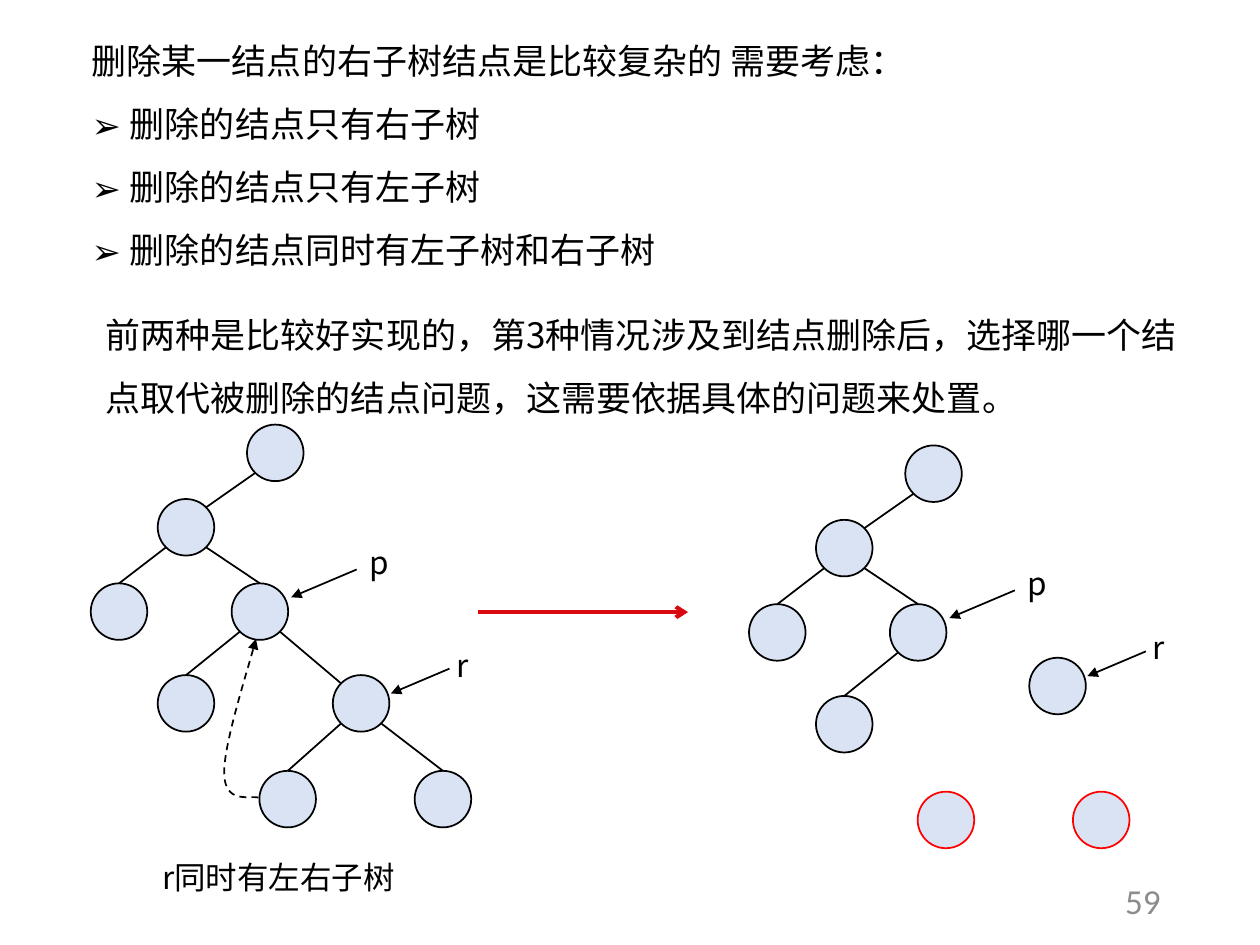
from lxml.etree import SubElement
from pptx import Presentation
from pptx.dml.color import RGBColor as RGB
from pptx.enum.dml import MSO_LINE
from pptx.enum.shapes import MSO_CONNECTOR as CONNECTOR, MSO_SHAPE as SHAPE
from pptx.enum.text import MSO_ANCHOR as ANCHOR, PP_ALIGN as ALIGN
from pptx.oxml.ns import qn
from pptx.util import Cm, Pt

THEME = {
    "ink": RGB(0, 0, 0), "grey": RGB(0x8C, 0x8C, 0x8C),
    "node": RGB(0xDA, 0xE3, 0xF3), "orphan": RGB(0xFF, 0, 0),
    "arrow": RGB(0xD8, 0x09, 0x0F),
    "cjk": "Noto Sans CJK SC", "latin": "Calibri",
    "body": Pt(20), "label": Pt(18), "thin": Pt(1), "thick": Pt(2.25),
}
BULLET = "➢"
NODE = 1.14  # node diameter in cm


def add_text(shapes, place, lines, size="label", face="cjk", color="ink",
             bulleted=(), anchor=ANCHOR.TOP, **para_format):
    box = shapes.add_textbox(*map(Cm, place))
    frame = box.text_frame
    for name, value in {"word_wrap": True, "vertical_anchor": anchor}.items():
        setattr(frame, name, value)
    for index, line in enumerate(lines):
        para = frame.paragraphs[0] if index == 0 else frame.add_paragraph()
        for name, value in para_format.items():
            setattr(para, name, value)
        if index in bulleted:
            props = para._p.get_or_add_pPr()
            props.set("marL", str(Cm(0.77)))
            props.set("indent", str(Cm(-0.77)))
            SubElement(props, qn("a:buFont"), typeface=THEME[face])
            SubElement(props, qn("a:buChar"), char=BULLET)
        span = para.add_run()
        span.text = line
        for name, value in {"name": THEME[face], "size": THEME[size]}.items():
            setattr(span.font, name, value)
        span.font.color.rgb = THEME[color]
        SubElement(span._r.get_or_add_rPr(), qn("a:ea"), typeface=THEME[face])


def add_line(shapes, start, end, color="ink", width="thin", head=None):
    line = shapes.add_connector(CONNECTOR.STRAIGHT, *map(Cm, (*start, *end)))
    line.line.color.rgb = THEME[color]
    line.line.width = THEME[width]
    if head:
        SubElement(line.line._get_or_add_ln(), qn("a:tailEnd"), type=head)
    SubElement(line._element.spPr, qn("a:effectLst"))


deck = Presentation()
deck.slide_width, deck.slide_height = Cm(25.4), Cm(19.05)
page = deck.slides.add_slide(deck.slide_layouts[6])

# Page number and explanation
add_text(page.shapes, (17.93, 17.65, 5.72, 1.02), ["59"], "body", "latin", "grey",
         anchor=ANCHOR.MIDDLE, alignment=ALIGN.RIGHT)
add_text(page.shapes, (1.6, 0.25, 21.31, 5.23), [
    "删除某一结点的右子树结点是比较复杂的 需要考虑：",
    "删除的结点只有右子树",
    "删除的结点只有左子树",
    "删除的结点同时有左子树和右子树",
], "body", bulleted=(1, 2, 3), line_spacing=1.5)
add_text(page.shapes, (1.88, 5.77, 22.12, 2.67), [
    "前两种是比较好实现的，第3种情况涉及到结点删除后，"
    "选择哪一个结点取代被删除的结点问题，这需要依据具体的问题来处置。",
], "body", line_spacing=1.5)

# Tree before deletion: top-left corner of each node
before = {
    "root": (4.98, 8.56), "inner": (3.18, 10.06), "left": (1.83, 11.76),
    "p": (4.67, 11.76), "p left": (3.18, 13.61), "r": (6.71, 13.61),
    "r left": (5.23, 15.54), "r right": (8.36, 15.54),
}
# Tree after deletion: same layout moved over, with r taken out
after = {name: (x + 13.27, y + 0.42) for name, (x, y) in before.items()}
after["r"] = (20.75, 13.26)

# Points on a node's rim, as fractions of its diameter
RIM = {"top": (0.5, 0), "NW": (0.15, 0.15), "NE": (0.85, 0.15),
       "SW": (0.15, 0.85), "SE": (0.85, 0.85)}
edges = [
    ("root", "SW", "inner", "NE"), ("inner", "SW", "left", "top"),
    ("inner", "SE", "p", "top"), ("p", "SW", "p left", "top"),
    ("p", "SE", "r", "NW"), ("r", "SW", "r left", "top"),
    ("r", "SE", "r right", "top"),
]
# Each pointer: start, tip and label corner, measured from its node's corner
pointers = {"p": ((2.52, -0.28), (1.2, 0.28), (2.52, -0.94)),
            "r": ((2.35, -0.13), (1.17, 0.37), (2.24, -0.72))}

trees = []
for nodes, kept, orphans in ((before, edges, ()),
                             (after, edges[:4], ("r left", "r right"))):
    tree = page.shapes.add_group_shape().shapes
    trees.append(tree)
    for name, corner in nodes.items():
        node = tree.add_shape(SHAPE.OVAL, *map(Cm, (*corner, NODE, NODE)))
        node.shadow.inherit = False
        node.fill.solid()
        node.fill.fore_color.rgb = THEME["node"]
        node.line.color.rgb = THEME["orphan" if name in orphans else "ink"]
        node.line.width = THEME["thin"]
    for parent, leave, child, arrive in kept:
        start, end = ([c + NODE * f for c, f in zip(nodes[name], RIM[side])]
                      for name, side in ((parent, leave), (child, arrive)))
        add_line(tree, start, end)
    for name, offsets in pointers.items():
        start, tip, label = ([c + d for c, d in zip(nodes[name], offset)]
                             for offset in offsets)
        add_line(tree, start, tip, head="triangle")
        add_text(tree, (*label, 0.89, 1.02), [name])

# Dashed curve: r's left child takes the place of p
curve = [
    ((5.21, 16.08), (5.05, 16.03), (4.52, 16.23), (4.52, 15.57)),
    ((4.52, 15.57), (4.52, 14.94), (5.03, 13.41), (5.16, 12.88)),
]
STEPS = 16
points = [
    tuple(Cm(a * (1 - t) ** 3 + 3 * b * t * (1 - t) ** 2
             + 3 * c * t ** 2 * (1 - t) + d * t ** 3)
          for a, b, c, d in zip(*bezier))
    for bezier in curve for t in (step / STEPS for step in range(1, STEPS + 1))
]
builder = trees[0].build_freeform(*map(Cm, curve[0][0]))
builder.add_line_segments(points, close=False)
move = builder.convert_to_shape()
move.shadow.inherit = False
move.fill.background()
move.line.color.rgb = THEME["ink"]
for name, value in {"width": THEME["thin"], "dash_style": MSO_LINE.DASH}.items():
    setattr(move.line, name, value)
SubElement(move.line._get_or_add_ln(), qn("a:tailEnd"), type="triangle")

# Transition arrow and caption
add_line(page.shapes, (9.63, 12.34), (13.87, 12.34), "arrow", "thick", "arrow")
add_text(page.shapes, (3.02, 17.17, 6.74, 1.02), ["r同时有左右子树"])

deck.save("out.pptx")
